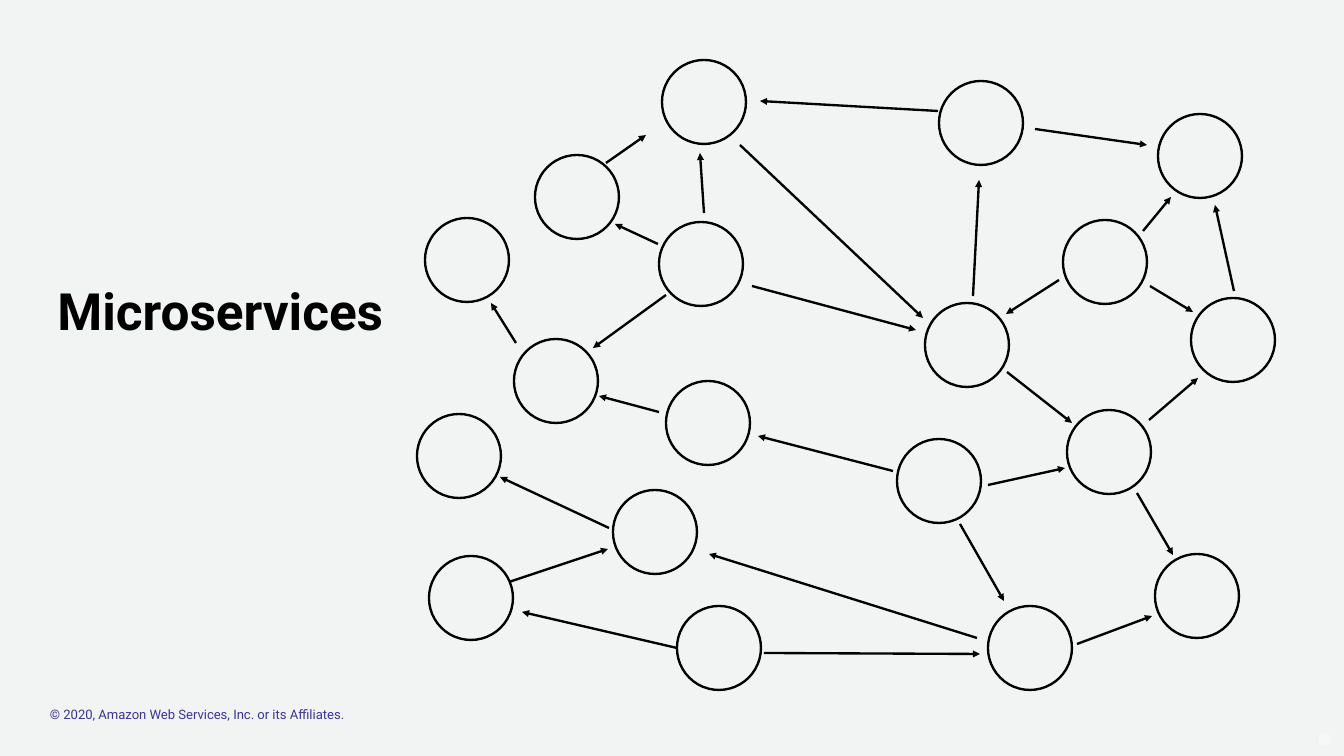
import pptx
import pptx.dml.color
import pptx.enum.shapes
import pptx.enum.text
import pptx.oxml.ns
import pptx.util

PX_PER_INCH = 84
SLIDE_SIZE = (1344, 756)
SERVICE_SIZE = 84
COLOURS = {"paper": "F2F3F3", "ink": "000000", "legal": "3C3399", "corner": "FFFFFF"}

# Left and top of each service
SERVICES = [
    (662, 60), (535, 155), (425, 218), (659, 222), (514, 339),
    (666, 381), (417, 414), (429, 556), (613, 490), (677, 606),
    (939, 81), (1158, 114), (1063, 220), (1191, 298), (925, 303),
    (1067, 410), (897, 439), (1155, 554), (988, 606),
]

# Start and end of each call between services
CALLS = [
    (752, 286, 916, 330), (938, 111, 760, 101), (973, 296, 979, 180),
    (1035, 129, 1147, 145), (1143, 231, 1171, 197), (1059, 280, 1006, 314),
    (1007, 372, 1072, 423), (1150, 286, 1193, 312), (1149, 420, 1198, 378),
    (1234, 291, 1215, 205), (1137, 493, 1173, 555), (740, 145, 923, 318),
    (893, 471, 758, 436), (988, 485, 1065, 468), (960, 524, 1004, 601),
    (1077, 644, 1152, 616), (764, 653, 980, 654), (677, 648, 522, 612),
    (977, 638, 709, 554), (609, 528, 500, 477), (659, 412, 599, 396),
    (516, 343, 491, 303), (658, 244, 615, 224), (666, 295, 593, 348),
    (704, 213, 700, 153), (606, 163, 646, 135), (509, 582, 608, 549),
]


def px(*lengths):
    """Turn pixel lengths into a list of EMU."""
    return [pptx.util.Emu(round(n * 914400 / PX_PER_INCH)) for n in lengths]


def colour(name):
    return pptx.dml.color.RGBColor.from_string(COLOURS[name])


def set_values(target, values):
    """Set each attribute of target from a dict."""
    for attribute, value in values.items():
        setattr(target, attribute, value)


def add_element(parent, tag, **attributes):
    """Append a drawing element to parent."""
    parent.append(parent.makeelement(pptx.oxml.ns.qn(tag), attributes))


class Deck:
    font = "Roboto"
    line_width = pptx.util.Pt(2)

    def __init__(self):
        self.presentation = pptx.Presentation()
        width, height = px(*SLIDE_SIZE)
        set_values(self.presentation, {"slide_width": width, "slide_height": height})
        self.slide = None

    def add_slide(self):
        self.slide = self.presentation.slides.add_slide(self.presentation.slide_layouts[5])
        self.slide.background.fill.solid()
        self.slide.background.fill.fore_color.rgb = colour("paper")

    def fill_text(self, box, text, size, ink, bold=False, **frame_format):
        frame = box.text_frame
        set_values(frame, {
            "word_wrap": True,
            "auto_size": pptx.enum.text.MSO_AUTO_SIZE.NONE,
            "vertical_anchor": pptx.enum.text.MSO_ANCHOR.TOP,
            **frame_format,
        })
        paragraph = frame.paragraphs[0]
        paragraph.alignment = pptx.enum.text.PP_ALIGN.LEFT
        run = paragraph.add_run()
        run.text = text
        set_values(run.font, {"name": self.font, "size": pptx.util.Pt(size), "bold": bold})
        run.font.color.rgb = colour(ink)

    def title(self, text, *place):
        heading = self.slide.shapes.title
        set_values(heading, dict(zip(("left", "top", "width", "height"), px(*place))))
        self.fill_text(heading, text, 44, "ink", bold=True)

    def copyright_line(self, text, *place):
        notice = self.slide.shapes.add_textbox(*px(*place))
        margins = dict.fromkeys(("margin_left", "margin_top", "margin_right", "margin_bottom"), 0)
        self.fill_text(notice, text, 11.2, "legal", **margins)

    def circle(self, left, top, size, fill, line=None, opacity=None):
        disc = self.slide.shapes.add_shape(
            pptx.enum.shapes.MSO_SHAPE.OVAL, *px(left, top, size, size))
        disc.shadow.inherit = False
        disc.fill.solid()
        disc.fill.fore_color.rgb = colour(fill)
        if line:
            disc.line.color.rgb = colour(line)
            disc.line.width = self.line_width
        else:
            disc.line.fill.background()
        if opacity is not None:
            tint = next(disc.element.spPr.iter(pptx.oxml.ns.qn("a:srgbClr")))
            add_element(tint, "a:alpha", val=str(opacity * 1000))

    def arrow(self, *ends):
        call = self.slide.shapes.add_connector(
            pptx.enum.shapes.MSO_CONNECTOR.STRAIGHT, *px(*ends))
        call.line.color.rgb = colour("ink")
        call.line.width = self.line_width
        properties = call.element.spPr
        add_element(properties.find(pptx.oxml.ns.qn("a:ln")), "a:tailEnd", type="triangle")
        add_element(properties, "a:effectLst")


def main():
    deck = Deck()
    deck.add_slide()
    deck.copyright_line("© 2020, Amazon Web Services, Inc. or its Affiliates.", 50, 706, 654, 16)
    deck.title("Microservices", 49, 275, 485, 207)
    deck.circle(1318, 733, 13, "corner", opacity=36)
    for left, top in SERVICES:
        deck.circle(left, top, SERVICE_SIZE, "paper", line="ink")
    for ends in CALLS:
        deck.arrow(*ends)
    deck.presentation.save("out.pptx")


if __name__ == "__main__":
    main()
